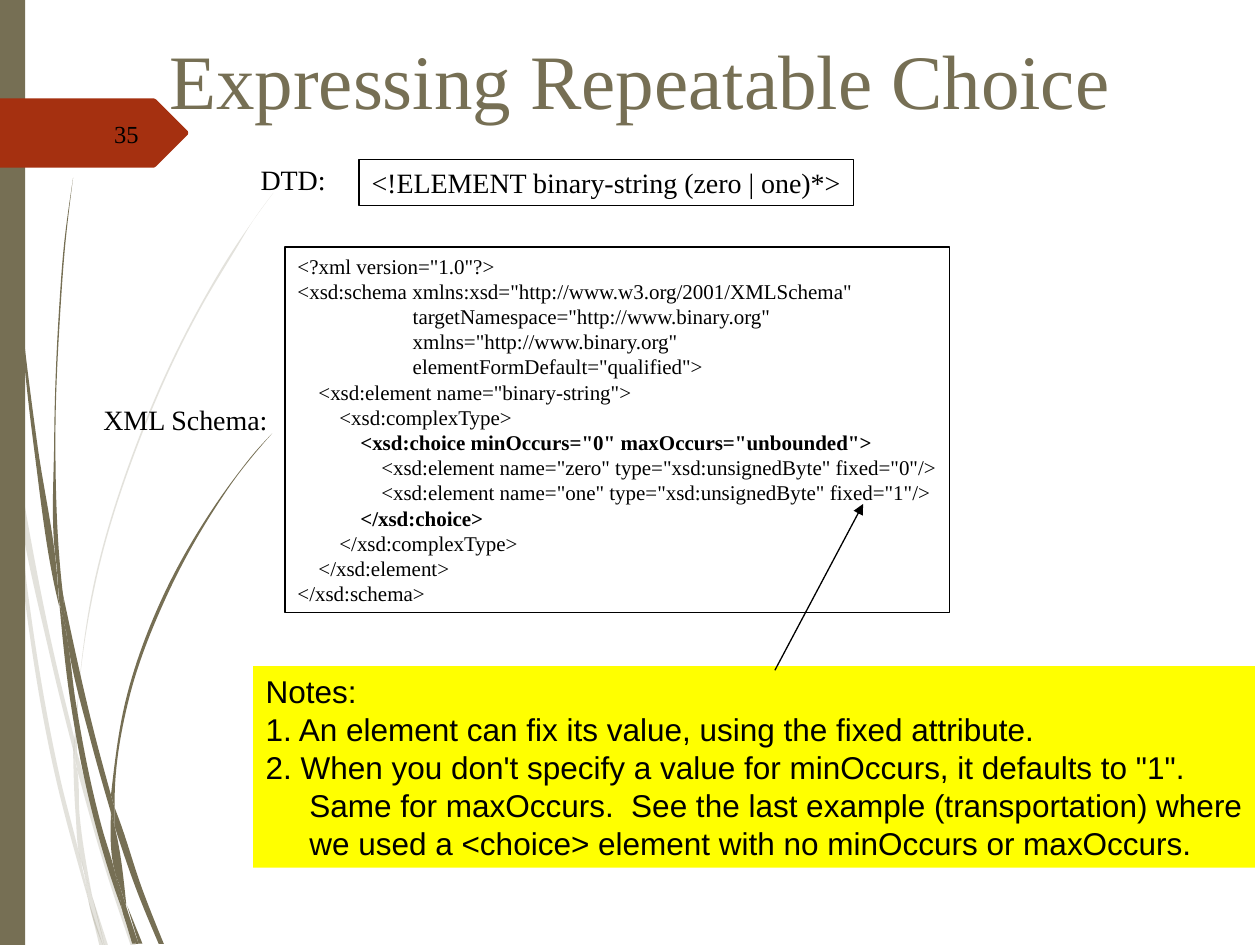
from dataclasses import dataclass
from itertools import pairwise
from math import dist
from typing import NamedTuple

from lxml.etree import SubElement
from pptx import Presentation
from pptx.dml.color import RGBColor
from pptx.enum.shapes import MSO_CONNECTOR, MSO_SHAPE
from pptx.enum.text import MSO_ANCHOR, PP_ALIGN
from pptx.oxml.ns import qn
from pptx.util import Pt

OLIVE, RUST, YELLOW, BLACK = "766F54", "A53010", "FFFF00", "000000"
SERIF, SANS = "Times New Roman", "Arial"


class Wisp(NamedTuple):
    outward: list
    back: list


@dataclass
class Label:
    left: float
    top: float
    width: float
    height: float
    lines: list
    size: float
    font: str = SERIF
    color: str = BLACK
    fill: str | None = None
    border: str | None = None
    align: PP_ALIGN = PP_ALIGN.LEFT
    anchor: MSO_ANCHOR = MSO_ANCHOR.TOP
    right_inset: float = 0
    bold_lines: tuple = ()
    indented_lines: tuple = ()


PALE_WISPS = [
    Wisp([(5.8, 252), (4.3, 231.8), (0, 203)], [(0, 215.3), (5, 247.7)]),
    Wisp([(7.2, 248.4), (8.6, 270.7), (28.8, 375.8), (42.5, 431.3)],
         [(42.5, 421.9), (31, 374.4), (7.2, 248.4)]),
    Wisp([(43.9, 429.1), (46.1, 437), (63.4, 498.2), (77.8, 540.7)],
         [(74.9, 540.7), (61.2, 499.7), (43.9, 439.2)]),
    Wisp([(59.8, 540.7), (61.9, 540.7)], [(52.6, 511.9)]),
    Wisp([(5.8, 252), (8.6, 270.7), (15.8, 337.7), (34.6, 445.7), (46.1, 491.8),
          (49.7, 509), (50.4, 514.1)],
         [(50.4, 514.1), (46.1, 499), (32.4, 447.1), (13.7, 338.4), (5.8, 252)]),
    Wisp([(41.8, 431.3), (43.2, 465.1), (46.1, 491.8), (48.2, 498.2), (52.6, 511.9)],
         [(52.6, 511.9), (45.4, 465.1), (43.9, 439.2), (41.8, 431.3)]),
    Wisp([(42.5, 421.9), (54, 331.9), (79.2, 250.6), (113.8, 175.7), (133.9, 141.8),
          (144.7, 126), (156.2, 110.2)],
         [(156.2, 110.2), (144.7, 126), (134.6, 142.6), (114.5, 176.4), (79.9, 251.3),
          (54.7, 332.6), (43.9, 420.5), (43.9, 429.1)]),
    Wisp([(50.4, 514.1), (56.9, 540.7)], [(59, 540.7)]),
    Wisp([(43.9, 437.8), (43.9, 429.1)], [(42.5, 421.9), (41.8, 431.3)]),
    Wisp([(46.8, 491.8), (49.7, 509), (50.4, 514.1), (59, 540.7)],
         [(59.8, 540.7), (52.6, 511.9), (48.2, 498.2)]),
]
DARK_WISPS = [
    Wisp([(1.4, 0), (2.2, 34.6), (3.6, 79.2), (10.1, 167.8), (19.4, 255.6),
          (33.1, 343.4), (33.8, 346.3)],
         [(33.8, 346.3), (32.4, 326.2), (21.6, 255.6), (10.8, 167), (4.3, 78.5),
          (2.9, 34.6), (2.2, 0)]),
    Wisp([(36, 339.8), (38.2, 363.6), (52.6, 426.2), (63.4, 464.4)],
         [(63.4, 454.3), (55.4, 424.8), (36, 339.8)]),
    Wisp([(65.5, 461.5), (67.7, 467.3), (81.4, 508.3), (93.6, 539.3)],
         [(90.7, 539.3), (78.5, 509.8), (65.5, 472.3)]),
    Wisp([(33.8, 343.4), (38.2, 363.6), (43.2, 400.3), (58.3, 473), (65.5, 497.5),
          (69.8, 519.8)],
         [(69.8, 519.8), (66.2, 509.8), (55.4, 474.5), (40.3, 401), (33.8, 343.4)]),
    Wisp([(36, 339.8), (34.6, 326.2), (31.7, 251.3), (34.6, 176.4), (37.4, 139),
          (41.8, 101.5)],
         [(41.8, 101.5), (36.7, 139), (33.8, 176.4), (31, 251.3), (32.4, 323.3),
          (35.3, 339.1)]),
    Wisp([(79.2, 539.3), (81.4, 539.3)], [(72.7, 517.7)]),
    Wisp([(33.8, 343.4), (38.2, 363.6)], [(36, 339.8), (32.4, 323.3)]),
    Wisp([(63.4, 454.3), (72.7, 396.7), (92.9, 341.3), (121, 291.6), (137.5, 268.6),
          (146.2, 257.8), (155.5, 247.7)],
         [(155.5, 247.7), (146.2, 258.5), (137.5, 269.3), (121.7, 292.3), (94.3, 342.7),
          (74.2, 397.4), (65.5, 455.8), (65.5, 461.5)]),
    Wisp([(69.8, 519.8), (75.6, 539.3)], [(77.8, 539.3)]),
    Wisp([(63.4, 464.4), (65.5, 497.5), (69.1, 508.3), (72, 517.7)],
         [(72, 515.5), (65.5, 472.3), (63.4, 464.4)]),
    Wisp([(63.4, 464.4), (65.5, 472.3)], [(65.5, 461.5), (63.4, 454.3)]),
    Wisp([(65.5, 497.5), (69.1, 516.2), (69.8, 519.8), (77.8, 539.3)],
         [(79.2, 539.3), (72, 517.7), (69.1, 508.3)]),
]
NUMBER_TAG = [(0, 56.2), (88, 56.2), (89.3, 56.9), (107.3, 74.9), (107.6, 76),
              (107.3, 77), (89.3, 95), (88, 95.8), (0, 95.8)]
SCHEMA = """<?xml version="1.0"?>
<xsd:schema xmlns:xsd="http://www.w3.org/2001/XMLSchema"
                      targetNamespace="http://www.binary.org"
                      xmlns="http://www.binary.org"
                      elementFormDefault="qualified">
    <xsd:element name="binary-string">
        <xsd:complexType>
            <xsd:choice minOccurs="0" maxOccurs="unbounded">
                <xsd:element name="zero" type="xsd:unsignedByte" fixed="0"/>
                <xsd:element name="one" type="xsd:unsignedByte" fixed="1"/>
            </xsd:choice>
        </xsd:complexType>
    </xsd:element>
</xsd:schema>""".split("\n")
NOTES = [
    "Notes:",
    "1. An element can fix its value, using the fixed attribute.",
    "2. When you don't specify a value for minOccurs, it defaults to \"1\".",
    "Same for maxOccurs.  See the last example (transportation) where",
    "we used a <choice> element with no minOccurs or maxOccurs.",
]
LABELS = [
    Label(40.3, 61.9, 46.1, 28.8, ["35"], 14, align=PP_ALIGN.RIGHT,
          anchor=MSO_ANCHOR.MIDDLE, right_inset=7.2),
    Label(59.8, 0, 612, 90, ["Expressing Repeatable Choice"], 44, color=OLIVE,
          align=PP_ALIGN.CENTER, anchor=MSO_ANCHOR.MIDDLE, right_inset=7.2),
    Label(162.9, 141.1, 379.6, 208.8, SCHEMA, 12, border=BLACK, bold_lines=(7, 10)),
    Label(205.2, 91, 282.7, 26.6, ["<!ELEMENT binary-string (zero | one)*>"], 16, border=BLACK),
    Label(141.8, 89.3, 51.1, 26.6, ["DTD:"], 16),
    Label(52, 226.4, 108.7, 26.6, ["XML Schema:"], 16),
    Label(144.7, 380.7, 572.4, 115.2, NOTES, 18, font=SANS, fill=YELLOW, indented_lines=(3, 4)),
]


def paint(target, color: str) -> None:
    target.solid()
    target.fore_color.rgb = RGBColor.from_string(color)


def curves(anchors: list) -> list:
    spans = [dist(p, q) for p, q in pairwise(anchors)]
    slopes = [[(b - a) / h for a, b in zip(p, q)]
              for (p, q), h in zip(pairwise(anchors), spans)]
    if len(spans) < 2:
        return [[q] for q in anchors[1:]]
    inner = [[(d * k + e * h) / (h + k) for d, e in zip(before, after)]
             for (before, after), (h, k) in zip(pairwise(slopes), pairwise(spans))]
    first = [1.5 * d - 0.5 * m for d, m in zip(slopes[0], inner[0])]
    final = [1.5 * d - 0.5 * m for d, m in zip(slopes[-1], inner[-1])]
    tangents = [first, *inner, final]
    return [[tuple(a + m * h / 3 for a, m in zip(p, leaving)),
             tuple(b - n * h / 3 for b, n in zip(q, arriving)), q]
            for (p, q), (leaving, arriving), h
            in zip(pairwise(anchors), pairwise(tangents), spans)]


def draw_outline(shapes, start: tuple, segments: list, color: str, opacity: int = 100) -> None:
    builder = shapes.build_freeform(Pt(start[0]), Pt(start[1]), scale=1.0)
    builder.add_line_segments([(Pt(x), Pt(y)) for part in segments for x, y in part], close=True)
    outline = builder.convert_to_shape()
    steps = iter(list(outline._element.iter(qn("a:lnTo"))))
    for part in segments:
        head, *others = [next(steps) for _ in part]
        if others:
            head.tag = qn("a:cubicBezTo")
            for other in others:
                head.append(other[0])
                other.getparent().remove(other)
    outline.shadow.inherit = False
    outline.line.fill.background()
    paint(outline.fill, color)
    if opacity < 100:
        tint = outline.fill._xPr.find(".//" + qn("a:srgbClr"))
        SubElement(tint, qn("a:alpha")).set("val", str(opacity * 1000))


def draw_wisp(shapes, wisp: Wisp, opacity: int) -> None:
    join = [] if wisp.outward[-1] == wisp.back[0] else [[wisp.back[0]]]
    segments = curves(wisp.outward) + join + curves(wisp.back)
    draw_outline(shapes, wisp.outward[0], segments, OLIVE, opacity)


def draw_label(shapes, label: Label) -> None:
    place = [Pt(v) for v in (label.left, label.top, label.width, label.height)]
    if label.fill or label.border:
        box = shapes.add_shape(MSO_SHAPE.RECTANGLE, *place)
        box.shadow.inherit = False
        paint(box.fill, label.fill) if label.fill else box.fill.background()
        if label.border:
            paint(box.line.fill, label.border)
            box.line.width = Pt(0.75)
        else:
            box.line.fill.background()
    else:
        box = shapes.add_textbox(*place)
    frame = box.text_frame
    frame.text = "\n".join(label.lines)
    frame.word_wrap = True
    frame.margin_right = Pt(label.right_inset)
    frame.vertical_anchor = label.anchor
    for i, paragraph in enumerate(frame.paragraphs):
        paragraph.alignment = label.align
        if i in label.indented_lines:
            paragraph._p.get_or_add_pPr().set("marL", str(Pt(25)))
        for run in paragraph.runs:
            run.font.name, run.font.size = label.font, Pt(label.size)
            run.font.bold = i in label.bold_lines
            paint(run.font.fill, label.color)


def draw_arrow(shapes, start: tuple, end: tuple) -> None:
    arrow = shapes.add_connector(MSO_CONNECTOR.STRAIGHT, *[Pt(v) for v in start + end])
    paint(arrow.line.fill, BLACK)
    arrow.line.width = Pt(0.75)
    SubElement(arrow.line._get_or_add_ln(), qn("a:tailEnd")).set("type", "triangle")
    SubElement(arrow._element.spPr, qn("a:effectLst"))


def main() -> None:
    deck = Presentation()
    deck.slide_width, deck.slide_height = Pt(720), Pt(540)
    shapes = deck.slides.add_slide(deck.slide_layouts[6]).shapes
    for wisps, opacity in ((PALE_WISPS, 20), (DARK_WISPS, 100)):
        for wisp in wisps:
            draw_wisp(shapes, wisp, opacity)
    side_bar = shapes.add_shape(MSO_SHAPE.RECTANGLE, 0, 0, Pt(14.4), Pt(540))
    side_bar.shadow.inherit = False
    side_bar.line.fill.background()
    paint(side_bar.fill, OLIVE)
    draw_outline(shapes, NUMBER_TAG[0], [[corner] for corner in NUMBER_TAG[1:]], RUST)
    for label in LABELS:
        draw_label(shapes, label)
    draw_arrow(shapes, (442.8, 383), (493.2, 288))
    deck.save("out.pptx")


if __name__ == "__main__":
    main()
